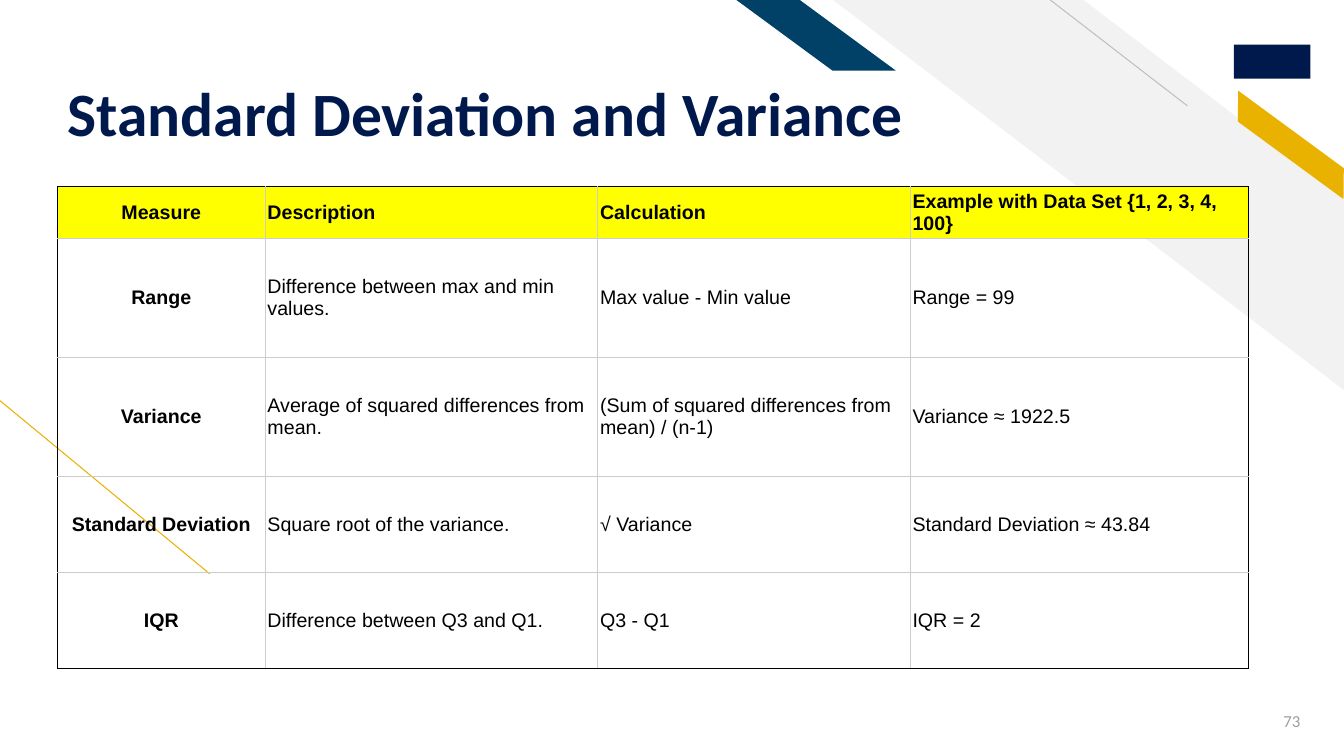
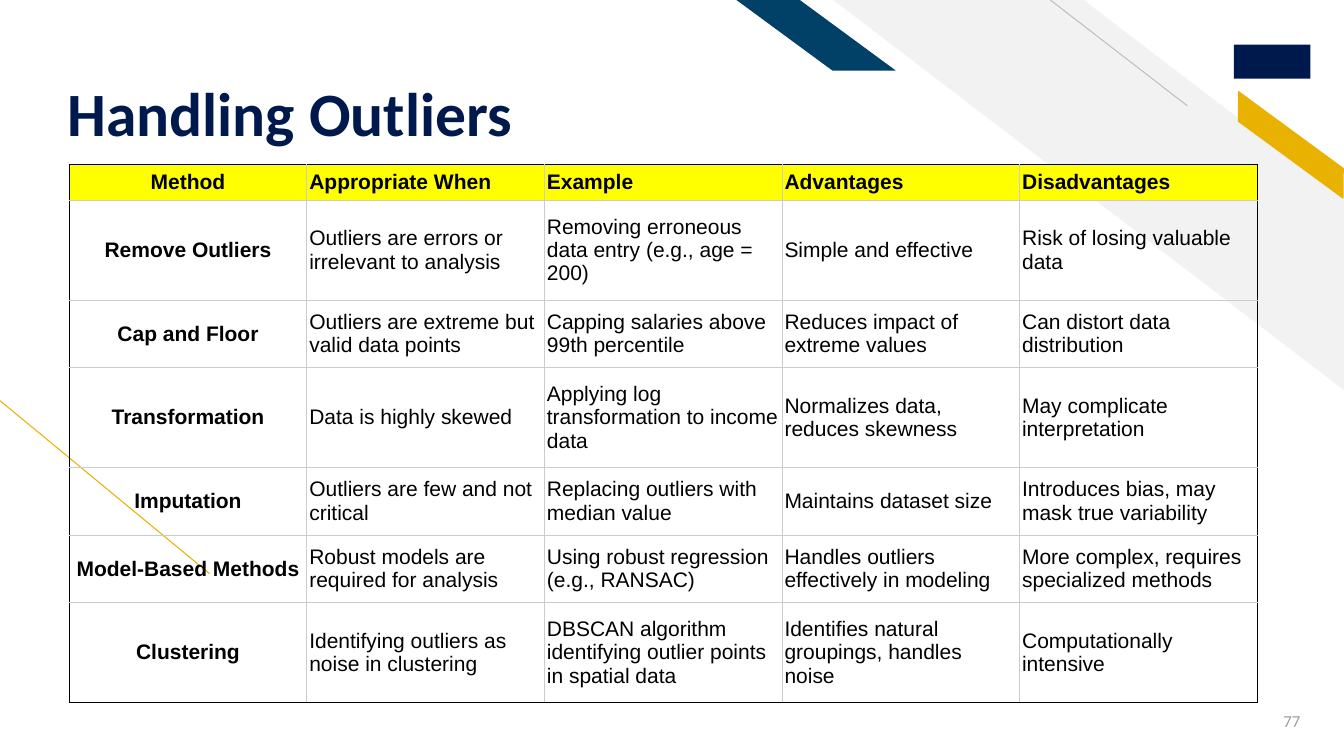
from pptx import Presentation
from pptx.dml.color import RGBColor as Rgb
from pptx.enum.shapes import MSO_CONNECTOR as Link, MSO_SHAPE as Kind
from pptx.enum.text import MSO_ANCHOR as Anchor, MSO_AUTO_SIZE as Auto, PP_ALIGN as Align
from pptx.oxml.ns import qn
from pptx.util import Inches, Pt
from lxml.etree import SubElement as sub, Element

HUES = {
    "navy": "00194C", "blue": "014067", "gold": "EAB200", "pale": "F2F2F2",
    "gray": "BFBFBF", "rule": "CCCCCC", "page": "9E9E9E", "head": "FFFF00",
    "ink": "000000",
}
WIDE, HIGH = Inches(13.333), Inches(7.5)
THIN = Pt(0.75)

RANGES = [
    ["Measure", "Description", "Calculation", "Example with Data Set {1, 2, 3, 4, 100}"],
    ["Range", "Difference between max and min values.", "Max value - Min value", "Range = 99"],
    ["Variance", "Average of squared differences from mean.",
     "(Sum of squared differences from mean) / (n-1)", "Variance ≈ 1922.5"],
    ["Standard Deviation", "Square root of the variance.", "√ Variance",
     "Standard Deviation ≈ 43.84"],
    ["IQR", "Difference between Q3 and Q1.", "Q3 - Q1", "IQR = 2"],
]
METHODS = [
    ["Method", "Appropriate When", "Example", "Advantages", "Disadvantages"],
    ["Remove Outliers", "Outliers are errors or irrelevant to analysis",
     "Removing erroneous data entry (e.g., age = 200)", "Simple and effective",
     "Risk of losing valuable data"],
    ["Cap and Floor", "Outliers are extreme but valid data points",
     "Capping salaries above 99th percentile", "Reduces impact of extreme values",
     "Can distort data distribution"],
    ["Transformation", "Data is highly skewed",
     "Applying log transformation to income data", "Normalizes data, reduces skewness",
     "May complicate interpretation"],
    ["Imputation", "Outliers are few and not critical",
     "Replacing outliers with median value", "Maintains dataset size",
     "Introduces bias, may mask true variability"],
    ["Model-Based Methods", "Robust models are required for analysis",
     "Using robust regression (e.g., RANSAC)", "Handles outliers effectively in modeling",
     "More complex, requires specialized methods"],
    ["Clustering", "Identifying outliers as noise in clustering",
     "DBSCAN algorithm identifying outlier points in spatial data",
     "Identifies natural groupings, handles noise", "Computationally intensive"],
]


# Lengths are percent of the slide's width and height
def across(share):
    return round(WIDE * share / 100)


def down(share):
    return round(HIGH * share / 100)


def area(x, y, w, h):
    return across(x), down(y), across(w), down(h)


def hue(name):
    return Rgb.from_string(HUES[name])


# Text
def write(frame, text, size=14, font="Arial", color="ink", bold=False,
          align=Align.LEFT, lead=None):
    frame.word_wrap = True
    par = frame.paragraphs[0]
    par.alignment = align
    par.line_spacing = lead
    run = par.add_run()
    run.text = text
    run.font.size, run.font.name, run.font.bold = Pt(size), font, bold
    run.font.color.rgb = hue(color)


# Shapes and lines
def form(slide, kind, box, color, slant=None, turn=0, flip=True):
    shape = slide.shapes.add_shape(kind, *area(*box))
    shape.shadow.inherit = False
    shape.fill.solid()
    shape.fill.fore_color.rgb = hue(color)
    shape.line.fill.background()
    shape.rotation = turn
    if slant:
        shape.adjustments[0] = slant
    if flip:
        shape._element.spPr.find(qn("a:xfrm")).set("flipH", "1")


def rule(slide, start, end, color):
    line = slide.shapes.add_connector(
        Link.STRAIGHT, across(start[0]), down(start[1]), across(end[0]), down(end[1]))
    line.line.color.rgb = hue(color)
    line.line.width = THIN
    sub(line._element.spPr, qn("a:effectLst"))


# Shared art, held by the layout
def adorn(deck, layout):
    slide = deck.slides.add_slide(layout)
    rule(slide, (15.6, 75.9), (0, 53), "gold")
    form(slide, Kind.DIAGONAL_STRIPE, (62, 0, 38, 51.6), "pale", slant=0.51)
    rule(slide, (88.35, 14), (78.15, 0), "gray")
    form(slide, Kind.PARALLELOGRAM, (90.5, 17.5, 11.1, 3.33), "gold", slant=0.72, turn=36.3)
    form(slide, Kind.RECTANGLE, (91.8, 5.9, 5.7, 4.5), "navy", flip=False)
    form(slide, Kind.PARALLELOGRAM, (54.8, 0, 11.85, 9.33), "blue", slant=1.36)
    for shape in list(slide.shapes):
        if not shape.is_placeholder:
            layout.shapes._spTree.append(shape._element)
    return slide


# Title and page number
def label(slide, title, page):
    head = slide.shapes.title
    head.left, head.top, head.width, head.height = area(4.28, 3.07, 68.3, 16.8)
    frame = head.text_frame
    frame.auto_size = Auto.NONE
    frame.vertical_anchor = Anchor.BOTTOM
    frame.margin_bottom = 0
    write(frame, title, size=44, font="Calibri", color="navy", bold=True, lead=0.9)
    foot = slide.shapes.add_textbox(*area(91.4, 92.7, 6.1, 5.3)).text_frame
    foot.vertical_anchor = Anchor.MIDDLE
    write(foot, page, size=12, font="Calibri", color="page", align=Align.RIGHT)


# Table
def edge(cell, sides):
    props = cell._tc.get_or_add_tcPr()
    for spot, (side, color) in enumerate(sides.items()):
        line = Element(qn("a:ln" + side), w=str(THIN))
        fill = sub(line, qn("a:solidFill"))
        sub(fill, qn("a:srgbClr"), val=HUES[color])
        props.insert(spot, line)


def grid(slide, data, spot, cols, rows, size):
    frame = slide.shapes.add_table(
        len(rows), len(cols), *area(*spot, sum(cols), sum(rows)))
    table = frame.table
    table.first_row = table.horz_banding = False
    for col, share in zip(table.columns, cols):
        col.width = across(share)
    for row, share in zip(table.rows, rows):
        row.height = down(share)
    last, end = len(rows) - 1, len(cols) - 1
    pad = Pt(size * 0.12)
    for r, texts in enumerate(data):
        for c, text in enumerate(texts):
            cell = table.cell(r, c)
            cell.margin_left = cell.margin_right = pad
            cell.margin_top = cell.margin_bottom = pad
            cell.vertical_anchor = Anchor.MIDDLE
            if r == 0:
                cell.fill.solid()
                cell.fill.fore_color.rgb = hue("head")
            else:
                cell.fill.background()
            outer = {"L": c == 0, "R": c == end, "T": r == 0, "B": r == last}
            edge(cell, {side: "ink" if out else "rule" for side, out in outer.items()})
            write(cell.text_frame, text, size=size, bold=r == 0 or c == 0,
                  align=Align.LEFT if c else Align.CENTER)


def main():
    deck = Presentation()
    deck.slide_width, deck.slide_height = WIDE, HIGH
    layout = deck.slide_layouts[5]

    # Spread measures
    slide = adorn(deck, layout)
    label(slide, "Standard Deviation and Variance", "73")
    grid(slide, RANGES, (4.28, 24.7), [15.45, 24.75, 23.25, 25.2],
         [6.6, 15.75, 15.75, 12.7, 12.7], 14)

    # Outlier methods
    slide = deck.slides.add_slide(layout)
    label(slide, "Handling Outliers", "77")
    tall, low = 13.2, 8.95
    grid(slide, METHODS, (5.15, 21.7), [17.68] * 5,
         [4.8, tall, low, tall, low, low, tall], 15)

    deck.save("out.pptx")


if __name__ == "__main__":
    main()
